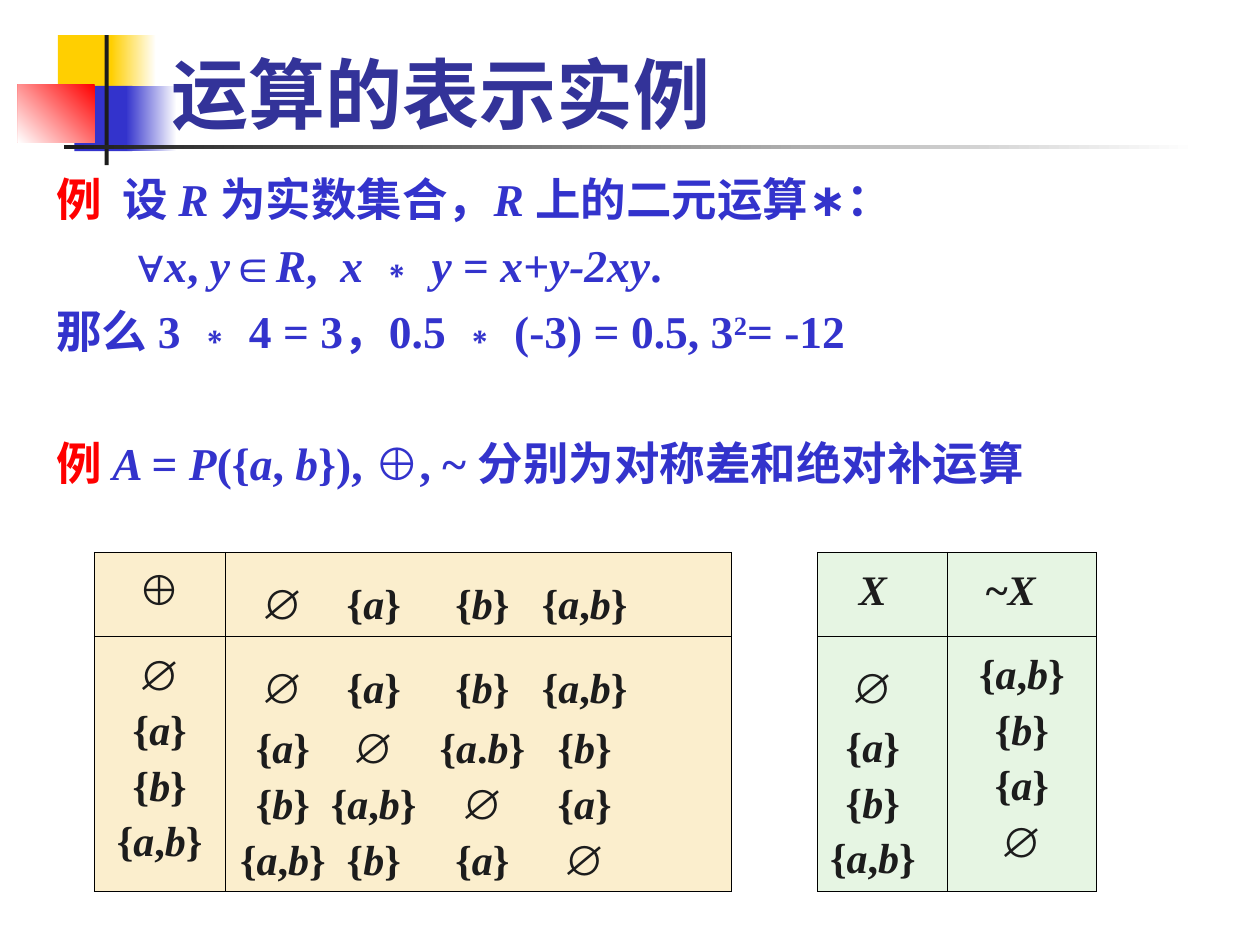
import itertools

import pptx
import pptx.dml.color
import pptx.enum.shapes
import pptx.enum.text
import pptx.oxml
import pptx.oxml.ns
import pptx.util

Cm = pptx.util.Cm
Pt = pptx.util.Pt
RGBColor = pptx.dml.color.RGBColor
PP_ALIGN = pptx.enum.text.PP_ALIGN

YELLOW = RGBColor(0xFF, 0xCF, 0x01)
BLUE = RGBColor(0x33, 0x33, 0xCC)
RED = RGBColor(0xFF, 0x00, 0x00)
WHITE = RGBColor(0xFF, 0xFF, 0xFF)
BLACK = RGBColor(0x00, 0x00, 0x00)
INK = RGBColor(0x1C, 0x1C, 0x1C)
TITLE_BLUE = RGBColor(0x33, 0x33, 0x99)
CREAM = RGBColor(0xFB, 0xEE, 0xCD)
MINT = RGBColor(0xE6, 0xF5, 0xE3)

LATIN_FONT = "Times New Roman"
SYMBOL_FONT = "Arial"
CJK_FONT = "Noto Sans CJK SC"
TITLE_FONT = "Cabin"
SYMBOLS = "∀⊕∅"
NO_STYLE = "{2D5ABB26-0587-4C30-8999-92F81FD0307C}"

# left, top, width, height, colours, gradient angle
ORNAMENTS = [
    (1.17, 0.71, 1.22, 1.32, [YELLOW], 0),
    (2.24, 0.71, 0.91, 1.32, [WHITE, YELLOW], 180),
    (1.5, 1.73, 1.17, 1.32, [BLUE], 0),
    (2.54, 1.73, 1.02, 1.32, [WHITE, BLUE], 180),
    (0.36, 1.7, 1.55, 1.17, [RED, WHITE], 225),
    (2.11, 0.71, 0.08, 2.62, [INK], 0),
    (1.3, 2.92, 22.86, 0.08, [WHITE, INK], 180),
]

# text, left indent (cm), space before (pt)
BODY = [
    ("#例  #设 _R _为实数集合，_R _上的二元运算∗：", 0, 0),
    ("∀_x_, _y_∈_R_,  _x _∗ _y _= _x+y-2xy_.", 1.63, 6.5),
    ("那么 3 ∗ 4 = 3，0.5 ∗ (-3) = 0.5, 3^2^= -12", 0, 6.5),
    ("#例 #_A _= _P_({_a_, _b_}), ⊕, ~ 分别为对称差和绝对补运算", 0, 44),
]

A, B, AB = "{_a_}", "{_b_}", "{_a_,_b_}"
OPERATION_TABS = [0.91, 2.74, 4.93, 6.99]
X_TABS = [0.86]
# row, column, fill, centred tab stops (none: centred text), lines
CELLS = [
    (0, 0, CREAM, [], ["⊕"]),
    (0, 1, CREAM, OPERATION_TABS, [f"%\t%∅\t{A}\t{B}\t{AB}"]),
    (0, 3, MINT, X_TABS, ["\t_X_"]),
    (0, 4, MINT, [1.02], ["\t~_X_"]),
    (1, 0, CREAM, [], ["∅", A, B, AB]),
    (1, 1, CREAM, OPERATION_TABS, [
        f"%\t%∅\t{A}\t{B}\t{AB}",
        f"\t{A}\t∅\t{{_a_._b_}}\t{B}",
        f"\t{B}\t{AB}\t∅\t{A}",
        f"\t{AB}\t{B}\t{A}\t∅",
    ]),
    (1, 3, MINT, X_TABS, ["%\t%∅", f"\t{A}", f"\t{B}", f"\t{AB}"]),
    (1, 4, MINT, [], [AB, B, A, "∅"]),
]


def add_run(p, text, font, size, color):
    r = p.add_run()
    r.text = text
    r.font.name, r.font.size, r.font.bold = font, Pt(size), True
    r.font.color.rgb = color
    ea = pptx.oxml.parse_xml(f'<a:ea {pptx.oxml.ns.nsdecls("a")}/>')
    ea.set("typeface", CJK_FONT if font == CJK_FONT else TITLE_FONT)
    r.font._element.find(pptx.oxml.ns.qn("a:latin")).addnext(ea)
    return r


def write_marked(p, text, size, color):
    """Toggle marks: _ italic, ^ superscript, # red, % CJK font."""
    on = set()
    styled = []
    for ch in text:
        if ch in "_^#%":
            on ^= {ch}
        else:
            font = SYMBOL_FONT if ch in SYMBOLS else CJK_FONT if "%" in on else LATIN_FONT
            styled.append((ch, (font, "_" in on, "^" in on, "#" in on)))
    for style, group in itertools.groupby(styled, key=lambda item: item[1]):
        font, italic, raised, red = style
        r = add_run(p, "".join(ch for ch, _ in group), font, size, RED if red else color)
        r.font.italic = italic
        if raised:
            r.font._element.set("baseline", "30000")


def add_tabs(p, stops):
    tabs = "".join(f'<a:tab pos="{Cm(x)}" algn="ctr"/>' for x in stops)
    p._p.get_or_add_pPr().append(pptx.oxml.parse_xml(
        f'<a:tabLst {pptx.oxml.ns.nsdecls("a")}>{tabs}</a:tabLst>'))


def add_ornament(s, left, top, width, height, colors, angle):
    sp = s.shapes.add_shape(pptx.enum.shapes.MSO_SHAPE.RECTANGLE,
                            Cm(left), Cm(top), Cm(width), Cm(height))
    sp.shadow.inherit = False
    sp.line.fill.background()
    if len(colors) == 1:
        sp.fill.solid()
        sp.fill.fore_color.rgb = colors[0]
    else:
        sp.fill.gradient()
        sp.fill.gradient_angle = angle
        for stop, color in zip(sp.fill.gradient_stops, colors):
            stop.color.rgb = color


def set_title(s, text):
    sp = s.shapes.title
    s.shapes._spTree.append(sp._element)  # in front of the ornaments
    sp.left, sp.top, sp.width, sp.height = Cm(3.2), Cm(0.2), Cm(21.64), Cm(2.72)
    tf = sp.text_frame
    tf.vertical_anchor = pptx.enum.text.MSO_ANCHOR.BOTTOM
    tf.auto_size = pptx.enum.text.MSO_AUTO_SIZE.NONE
    p = tf.paragraphs[0]
    p.alignment = PP_ALIGN.LEFT
    add_run(p, text, TITLE_FONT, 44, TITLE_BLUE)


def add_body(s):
    tf = s.shapes.add_textbox(Cm(0.89), Cm(3.33), Cm(23.6), Cm(10)).text_frame
    tf.word_wrap = True
    for i, (text, indent, before) in enumerate(BODY):
        p = tf.add_paragraph() if i else tf.paragraphs[0]
        p.space_before = Pt(before)
        p._p.get_or_add_pPr().set("marL", str(Cm(indent)))
        write_marked(p, text, 26, BLUE)


def set_borders(cell, sides):
    tcPr = cell._tc.get_or_add_tcPr()
    for i, side in enumerate(sides):
        tcPr.insert(i, pptx.oxml.parse_xml(
            f'<a:ln{side} {pptx.oxml.ns.nsdecls("a")} w="{Pt(0.45)}"><a:solidFill>'
            f'<a:srgbClr val="{BLACK}"/></a:solidFill></a:ln{side}>'))


def fill_cell(cell, fill, stops, lines):
    cell.fill.solid()
    cell.fill.fore_color.rgb = fill
    set_borders(cell, "LRTB")
    tf = cell.text_frame
    for i, line in enumerate(lines):
        p = tf.add_paragraph() if i else tf.paragraphs[0]
        p.line_spacing = 1.2
        if stops:
            add_tabs(p, stops)
        else:
            p.alignment = PP_ALIGN.CENTER
        write_marked(p, line, 24, INK)


def add_operation_table(s):
    widths, heights = [2.64, 10.21, 1.73, 2.62, 3], [1.7, 5.13]
    table = s.shapes.add_table(len(heights), len(widths), Cm(1.9), Cm(11.13),
                               Cm(sum(widths)), Cm(sum(heights))).table
    table.first_row = table.horz_banding = False
    table._tbl.tblPr[0].text = NO_STYLE
    for column, width in zip(table.columns, widths):
        column.width = Cm(width)
    for row, height in zip(table.rows, heights):
        row.height = Cm(height)
    for row, column, *content in CELLS:
        fill_cell(table.cell(row, column), *content)
    gap = table.cell(0, 2)
    gap.merge(table.cell(1, 2))
    gap.fill.background()
    set_borders(gap, "LR")


def main():
    prs = pptx.Presentation()
    prs.slide_width, prs.slide_height = Cm(25.4), Cm(19.05)
    s = prs.slides.add_slide(prs.slide_layouts.get_by_name("Title Only"))
    for ornament in ORNAMENTS:
        add_ornament(s, *ornament)
    set_title(s, "运算的表示实例")
    add_body(s)
    add_operation_table(s)
    prs.save("out.pptx")


if __name__ == "__main__":
    main()
